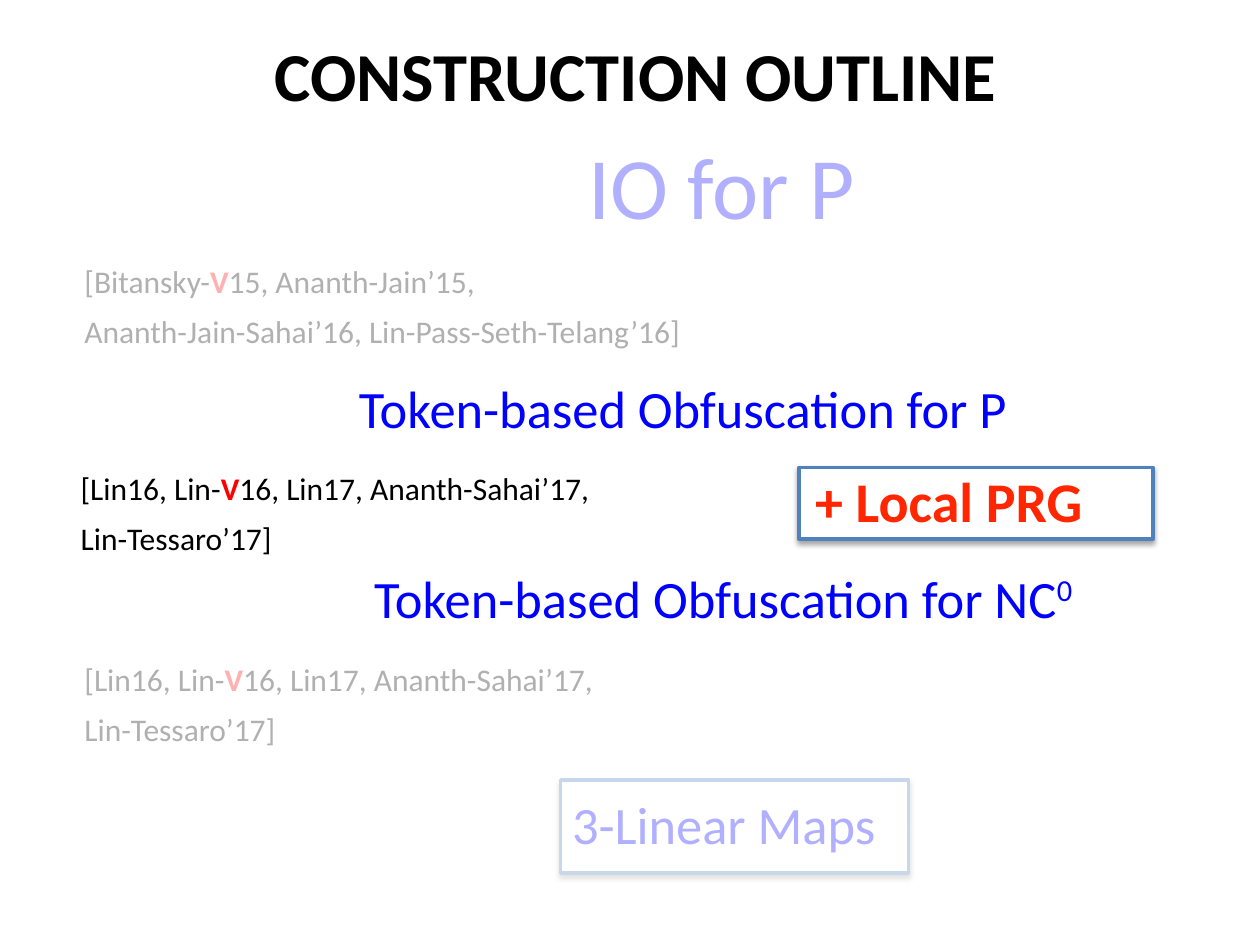
from lxml import etree
from pptx import Presentation
from pptx import util as u
from pptx.dml.color import RGBColor
from pptx.enum import shapes, text
from pptx.oxml import ns

THEME = dict(
    font="Calibri", black="000000", red="FF0000", blue="0000FF",
    scarlet="FF2600", white="FFFFFF", border="4F81BD",
    title=39.2, goal=50, step=30, extra=32, cite=18,
    gap=7, pad=0.5, veil_alpha=69, shadow_alpha=35,
)
WIDTH, HEIGHT = 10, 7.5
COLS, ROWS = 100, 75

TITLE = dict(at=(2.8, 2.1, 95.3, 7.8), paras=[[("CONSTRUCTION OUTLINE", "bold")]], size="title")
LIN_CITE = [
    [("[Lin16, Lin-", ""), ("V", "author"), ("16, Lin17, Ananth-Sahai’17,", "")],
    [("Lin-Tessaro’17]", "")],
]
BITANSKY_CITE = [
    [("[Bitansky-", ""), ("V", "author"), ("15, Ananth-Jain’15,", "")],
    [("Ananth-Jain-Sahai’16, Lin-Pass-Seth-Telang’16]", "")],
]
STEPS = [
    dict(at=(29.1, 44.4, 57.8, 5.6), color="blue", size="step", sides=(0, 1.2),
         paras=[[("Token-based Obfuscation for NC", ""), ("0", "super")]]),
    dict(at=(27.8, 29.9, 60.5, 6), color="blue", size="step", sides=(0, 7.7), spacing=0.9,
         paras=[[("Token-based Obfuscation for P", "")]]),
    dict(at=(46, 10, 22.5, 9.4), color="blue", size="goal", wrap=False,
         paras=[[("IO for P", "")]]),
]
CITES = [
    ((6.2, 20.3, 58, 9.6), BITANSKY_CITE),
    ((6.2, 51.9, 86.3, 11.5), LIN_CITE),
    ((5.9, 36.7, 86.3, 11.5), LIN_CITE),
]
BOXES = [
    ((44.5, 61.9, 27.6, 7.4),
     dict(at=(42, 62.4, 32.1, 6.7), color="blue", size="step", sides=(0, 1.2),
          paras=[[("3-Linear Maps", "")]])),
    ((63.4, 37.1, 28.1, 5.7),
     dict(at=(64.2, 36.5, 28, 6), color="scarlet", size="extra", align="LEFT",
          paras=[[("+ Local PRG", "bold")]])),
]
VEILS = [(0, 51.2, COLS, 23.3), (0, 11.9, COLS, 17.3)]


def rgb(name):
    return RGBColor.from_string(THEME[name])


def place(at):
    x, y, w, h = at
    return [u.Inches(v) for v in (x * WIDTH / COLS, y * HEIGHT / ROWS,
                                  w * WIDTH / COLS, h * HEIGHT / ROWS)]


def apply(obj, values):
    for name, value in values.items():
        setattr(obj, name, value)


def add_text(parent, at, paras, size, color="black", align="CENTER",
             sides=(THEME["pad"], THEME["pad"]), spacing=None, wrap=True):
    tf = parent.add_textbox(*place(at)).text_frame
    left, right = (u.Inches(v * WIDTH / COLS) for v in sides)
    edge = u.Inches(THEME["pad"] * HEIGHT / ROWS)
    apply(tf, dict(word_wrap=wrap, margin_left=left, margin_right=right,
                   margin_top=edge, margin_bottom=edge,
                   vertical_anchor=text.MSO_ANCHOR.TOP))
    for i, runs in enumerate(paras):
        p = tf.add_paragraph() if i else tf.paragraphs[0]
        apply(p, dict(alignment=getattr(text.PP_ALIGN, align), line_spacing=spacing))
        if i:
            p.space_before = u.Pt(THEME["gap"])
        for words, style in runs:
            r = p.add_run()
            r.text = words
            apply(r.font, dict(name=THEME["font"], size=u.Pt(THEME[size]),
                               bold=style in ("bold", "author")))
            r.font.color.rgb = rgb("red" if style == "author" else color)
            if style == "super":
                r.font._element.set("baseline", "32000")


def add_rect(parent, at):
    sp = parent.add_shape(shapes.MSO_SHAPE.RECTANGLE, *place(at))
    sp.shadow.inherit = False
    sp.fill.solid()
    sp.fill.fore_color.rgb = rgb("white")
    return sp


def add_alpha(color, percent):
    etree.SubElement(color, ns.qn("a:alpha"), val=str(percent * 1000))


def add_frame(parent, at):
    sp = add_rect(parent, at)
    sp.line.color.rgb = rgb("border")
    sp.line.width = u.Pt(2)
    effects = sp._element.spPr.find(ns.qn("a:effectLst"))
    shadow = etree.SubElement(effects, ns.qn("a:outerShdw"), blurRad=str(u.Pt(3)),
                              dist=str(u.Pt(1.8)), dir="5400000", rotWithShape="0")
    color = etree.SubElement(shadow, ns.qn("a:srgbClr"), val=THEME["black"])
    add_alpha(color, THEME["shadow_alpha"])


def add_veil(parent, at):
    sp = add_rect(parent, at)
    sp.line.fill.background()
    add_alpha(sp._element.spPr.find(".//" + ns.qn("a:srgbClr")), THEME["veil_alpha"])


def main():
    prs = Presentation()
    prs.slide_width, prs.slide_height = u.Inches(WIDTH), u.Inches(HEIGHT)
    s = prs.slides.add_slide(prs.slide_layouts[6])
    for item in [TITLE] + STEPS:
        add_text(s.shapes, **item)
    for at, paras in CITES:
        add_text(s.shapes, at, paras, "cite", align="LEFT")
    for at, label in BOXES:
        group = s.shapes.add_group_shape().shapes
        add_frame(group, at)
        add_text(group, **label)
    for at in VEILS:
        add_veil(s.shapes, at)
    prs.save("out.pptx")


if __name__ == "__main__":
    main()
